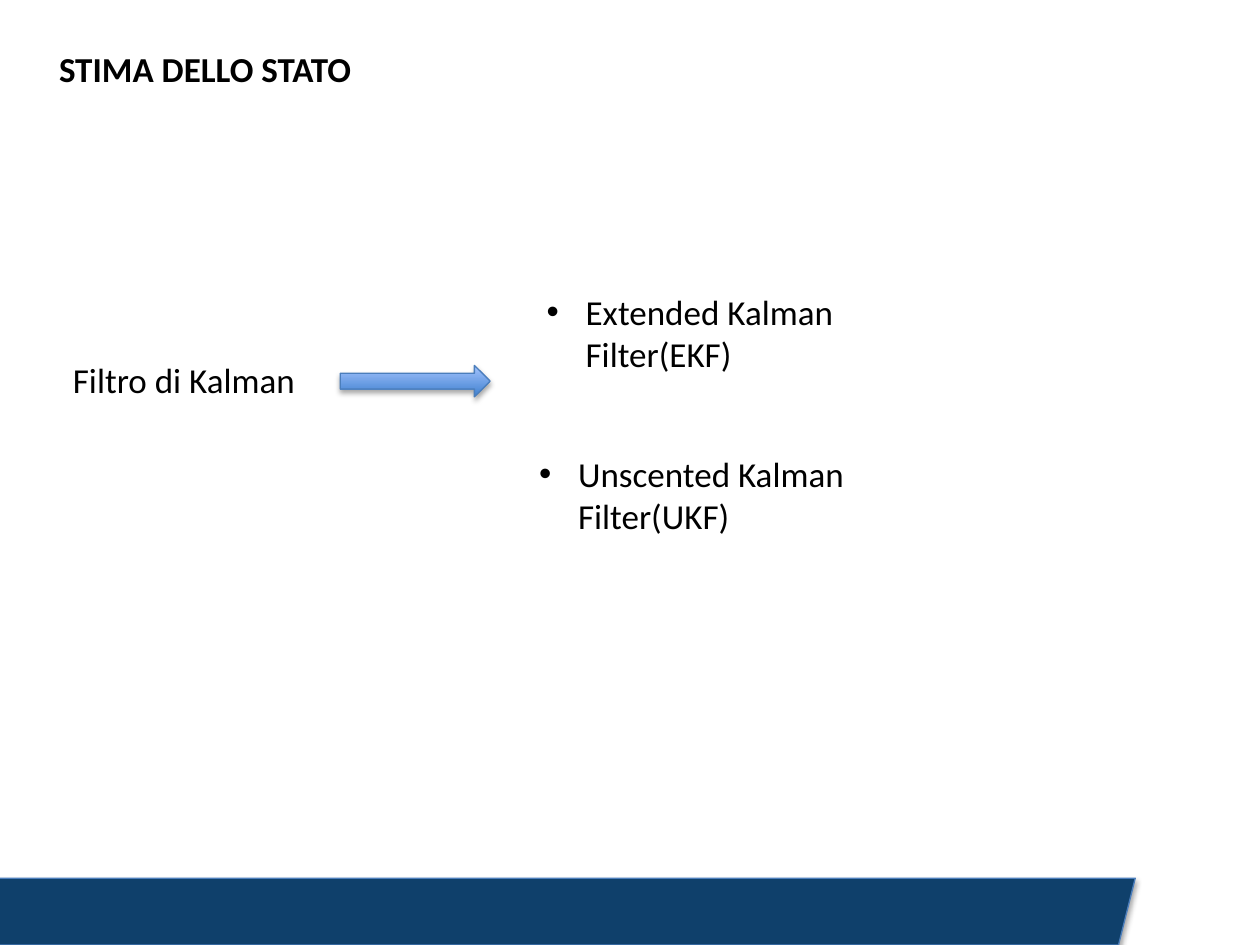
from dataclasses import dataclass

from lxml import etree
from pptx import Presentation
from pptx import util as u
from pptx.dml import color, fill
from pptx.enum import shapes, text
from pptx.oxml import ns
from pptx.shapes import autoshape
from pptx.slide import Slide

FONT = "Calibri"
FONT_SIZE = 20
BLACK = "000000"
NAVY = "0F406B"
OUTLINE = "4B7EBC"
ARROW_BOTTOM = "3F80CE"
ARROW_TOP = "A4C4FF"
BULLET_INDENT = 0.31


@dataclass(frozen=True)
class Box:
    left: float
    top: float
    width: float
    height: float

    def lengths(self) -> list[u.Length]:
        return [u.Inches(side) for side in (self.left, self.top, self.width, self.height)]


@dataclass(frozen=True)
class Label:
    words: str
    box: Box
    bold: bool = False
    bullet: bool = False


LABELS = (
    Label("STIMA DELLO STATO", Box(0.37, 0.33, 4.29, 0.77), bold=True),
    Label("Filtro di Kalman", Box(0.48, 2.8, 3.41, 0.44)),
    Label("Extended Kalman Filter(EKF)", Box(4.24, 2.26, 3.46, 0.77), bullet=True),
    Label("Unscented Kalman Filter(UKF)", Box(4.18, 3.54, 3.64, 0.77), bullet=True),
)


def rgb(value: str) -> color.RGBColor:
    return color.RGBColor.from_string(value)


def add_shadow(shape: autoshape.Shape) -> None:
    shape.shadow.inherit = False
    effects = shape.element.spPr.find(ns.qn("a:effectLst"))
    shadow = etree.SubElement(
        effects,
        ns.qn("a:outerShdw"),
        blurRad=str(u.Pt(3.1)),
        dist=str(u.Pt(1.8)),
        dir="5400000",
        rotWithShape="0",
    )
    shade = etree.SubElement(shadow, ns.qn("a:srgbClr"), val=BLACK)
    etree.SubElement(shade, ns.qn("a:alpha"), val="35000")


def add_outlined_shape(slide: Slide, kind: shapes.MSO_SHAPE, box: Box) -> fill.FillFormat:
    shape = slide.shapes.add_shape(kind, *box.lengths())
    shape.line.color.rgb = rgb(OUTLINE)
    shape.line.width = u.Pt(0.75)
    add_shadow(shape)
    return shape.fill


def add_footer(slide: Slide) -> None:
    footer_fill = add_outlined_shape(
        slide, shapes.MSO_SHAPE.PARALLELOGRAM, Box(-0.26, 6.97, 9.27, 0.53)
    )
    footer_fill.solid()
    footer_fill.fore_color.rgb = rgb(NAVY)


def add_arrow(slide: Slide) -> None:
    arrow_fill = add_outlined_shape(
        slide, shapes.MSO_SHAPE.RIGHT_ARROW, Box(2.7, 2.9, 1.19, 0.25)
    )
    arrow_fill.gradient()
    arrow_fill.gradient_angle = 90
    for stop, shade in zip(arrow_fill.gradient_stops, (ARROW_BOTTOM, ARROW_TOP)):
        stop.color.rgb = rgb(shade)


def add_label(slide: Slide, label: Label) -> None:
    shape = slide.shapes.add_textbox(*label.box.lengths())
    frame = shape.text_frame
    frame.word_wrap = True
    frame.auto_size = text.MSO_AUTO_SIZE.SHAPE_TO_FIT_TEXT
    paragraph = frame.paragraphs[0]
    if label.bullet:
        properties = paragraph._p.get_or_add_pPr()
        properties.set("marL", str(u.Inches(BULLET_INDENT)))
        properties.set("indent", str(-u.Inches(BULLET_INDENT)))
        etree.SubElement(properties, ns.qn("a:buFont"), typeface="Arial")
        etree.SubElement(properties, ns.qn("a:buChar"), char="•")
    run = paragraph.add_run()
    run.text = label.words
    run.font.name = FONT
    run.font.size = u.Pt(FONT_SIZE)
    run.font.bold = label.bold
    run.font.color.rgb = rgb(BLACK)


def main() -> None:
    presentation = Presentation()
    presentation.slide_width = u.Inches(10)
    presentation.slide_height = u.Inches(7.5)
    slide = presentation.slides.add_slide(presentation.slide_layouts[6])
    add_footer(slide)
    title, source, *variants = LABELS
    add_label(slide, title)
    add_label(slide, source)
    add_arrow(slide)
    for variant in variants:
        add_label(slide, variant)
    presentation.save("out.pptx")


if __name__ == "__main__":
    main()
